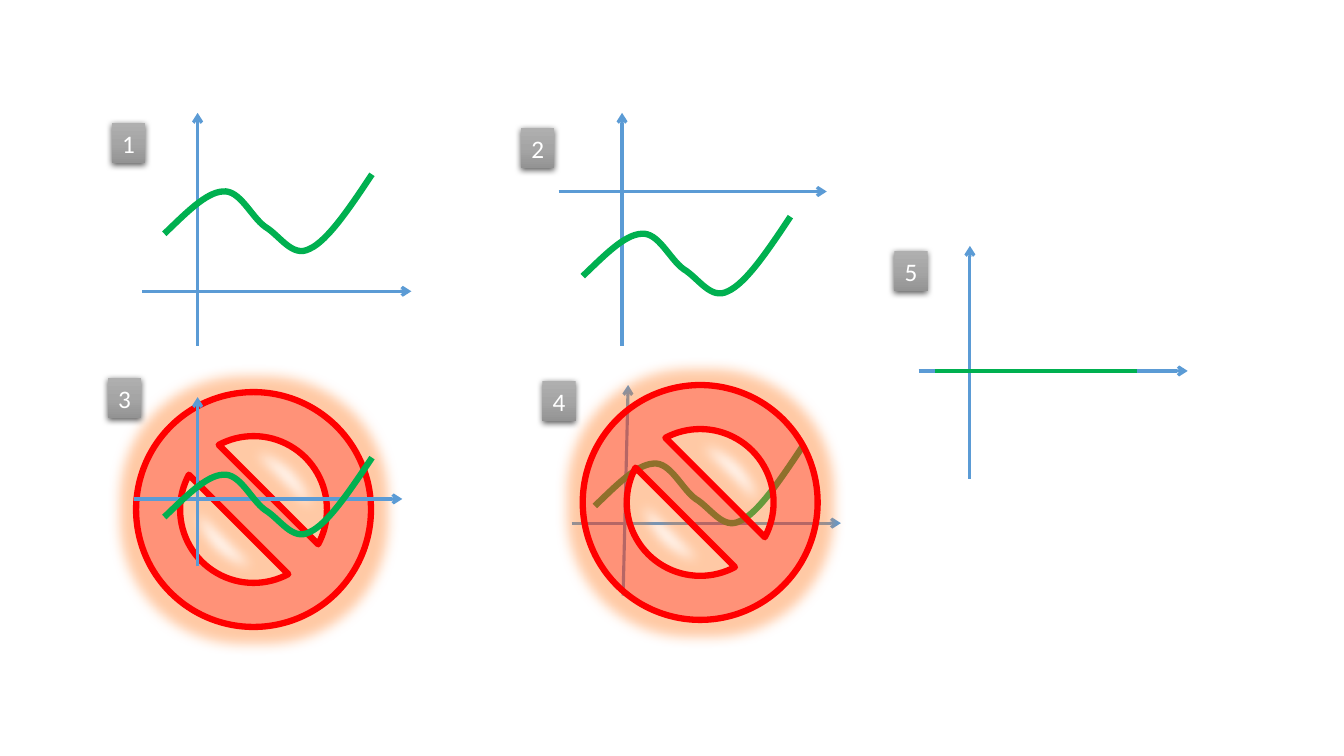
from copy import deepcopy

from lxml import etree
from pptx import Presentation
from pptx.dml.color import RGBColor
from pptx.enum.shapes import MSO_CONNECTOR, MSO_SHAPE
from pptx.enum.text import MSO_ANCHOR, MSO_AUTO_SIZE, PP_ALIGN
from pptx.oxml.ns import qn
from pptx.util import Inches, Pt

STRAIGHT = MSO_CONNECTOR.STRAIGHT
RECTANGLE = MSO_SHAPE.RECTANGLE
PROHIBITION = MSO_SHAPE.NO_SYMBOL
MIDDLE = MSO_ANCHOR.MIDDLE
CENTER = PP_ALIGN.CENTER
GROW = MSO_AUTO_SIZE.SHAPE_TO_FIT_TEXT

BLUE = RGBColor(0x5B, 0x9B, 0xD5)
GREEN = RGBColor(0x00, 0xB0, 0x50)
RED = RGBColor(0xFF, 0x00, 0x00)
GLOW_ORANGE = RGBColor(0xFF, 0x7A, 0x1E)
BLACK = RGBColor(0x00, 0x00, 0x00)
WHITE = RGBColor(0xFF, 0xFF, 0xFF)
BADGE_TOP = RGBColor(0xAF, 0xAF, 0xAF)
BADGE_MIDDLE = RGBColor(0xA5, 0xA5, 0xA5)
BADGE_BOTTOM = RGBColor(0x93, 0x93, 0x93)

CELL = Inches(1)
CURVE_STEPS = 100
CURVE_HEIGHT = 0.76
SIGN_SIZE = 2.33
CURVE = [(0, 59), (21, 39), (41, 18), (58, 17), (75, 15), (86, 42), (100, 52),
         (115, 61), (127, 83), (144, 74), (162, 66), (184, 33), (206, 0)]

PANELS = [
    ("1", (1.11, 1.22), (1.41, 4.08, 2.89), (1.96, 3.43, 1.96, 1.12), (1.63, 1.73)),
    ("5", (8.87, 2.49), (9.11, 11.78, 3.68), (9.62, 4.75, 9.62, 2.44), None),
    ("4", (5.38, 3.78), (5.67, 8.34, 5.19), (6.18, 5.91, 6.23, 3.82), (5.9, 4.43)),
    ("3", (1.07, 3.75), (1.33, 3.99, 4.95), (1.96, 5.62, 1.96, 3.94), (1.63, 4.54)),
    ("2", (5.17, 1.27), (5.54, 8.2, 1.9), (6.17, 3.43, 6.17, 1.12), (5.78, 2.15)),
]


def cells(*counts):
    return [round(count * CELL) for count in counts]


def add_effect(element, tag=None, color=None, alpha=0, **settings):
    effects = element.spPr.find(qn("a:effectLst"))
    if effects is None:
        effects = etree.SubElement(element.spPr, qn("a:effectLst"))
    if tag:
        effect = etree.SubElement(effects, qn(tag), settings)
        tint = etree.SubElement(effect, qn("a:srgbClr"), val=str(color))
        etree.SubElement(tint, qn("a:alpha"), val=str(alpha * 1000))


def add_line(shapes, ends, color, weight, arrow=False):
    line = shapes.add_connector(STRAIGHT, *cells(*ends))
    line.line.color.rgb = color
    line.line.width = Pt(weight)
    if arrow:
        outline = line.line._get_or_add_ln()
        etree.SubElement(outline, qn("a:tailEnd"), type="arrow")
    add_effect(line._element)


def add_curve(shapes, corner):
    builder = shapes.build_freeform(*CURVE[0], scale=CELL / CURVE_STEPS)
    builder.add_line_segments(CURVE[1:], close=False)
    curve = builder.convert_to_shape(*cells(*corner))
    curve.height = cells(CURVE_HEIGHT)[0]
    curve.shadow.inherit = False
    curve.fill.background()
    curve.line.color.rgb = GREEN
    curve.line.width = Pt(4.5)
    outline = next(curve._element.iter(qn("a:path")))
    outline.set("h", str(round(CURVE_HEIGHT * CURVE_STEPS)))
    segments = outline.findall(qn("a:lnTo"))
    for start in range(0, len(segments), 3):
        bend = etree.SubElement(outline, qn("a:cubicBezTo"))
        for segment in segments[start:start + 3]:
            bend.append(segment[0])
            outline.remove(segment)


def shade_badge(badge):
    badge.fill.gradient()
    badge.fill.gradient_angle = 270
    for stop, color in zip(badge.fill.gradient_stops, (BADGE_TOP, BADGE_BOTTOM)):
        stop.color.rgb = color
    stops = next(badge._element.iter(qn("a:gsLst")))
    middle = deepcopy(stops[0])
    middle.set("pos", "50000")
    middle[0].set("val", str(BADGE_MIDDLE))
    stops.insert(1, middle)


def add_badge(shapes, number, corner):
    badge = shapes.add_shape(RECTANGLE, *cells(*corner, 0.33, 0.4))
    badge.shadow.inherit = False
    shade_badge(badge)
    badge.line.fill.background()
    add_effect(badge._element, "a:outerShdw", BLACK, 63, blurRad=str(Pt(4.5)),
               dist=str(Pt(1.5)), dir="5400000", algn="ctr", rotWithShape="0")
    frame = badge.text_frame
    frame.word_wrap = False
    frame.auto_size = GROW
    frame.vertical_anchor = MIDDLE
    label = frame.paragraphs[0]
    label.alignment = CENTER
    digit = label.add_run()
    digit.text = number
    digit.font.name = "Calibri"
    digit.font.size = Pt(18)
    digit.font.color.rgb = WHITE


def add_panel(slide, number, badge_corner, horizontal, vertical, curve_corner):
    shapes = slide.shapes.add_group_shape().shapes
    left, right, level = horizontal
    add_line(shapes, (left, level, right, level), BLUE, 2.25, arrow=True)
    add_line(shapes, vertical, BLUE, 2.25, arrow=True)
    if curve_corner:
        add_curve(shapes, curve_corner)
    else:
        add_line(shapes, (left + 0.16, level, right - 0.5, level), GREEN, 3)
    add_badge(shapes, number, badge_corner)


def add_prohibition(slide, left, top):
    sign = slide.shapes.add_shape(PROHIBITION, *cells(left, top, SIGN_SIZE, SIGN_SIZE))
    sign.shadow.inherit = False
    sign.fill.solid()
    sign.fill.fore_color.rgb = RED
    tint = sign._element.spPr.find(qn("a:solidFill"))[0]
    etree.SubElement(tint, qn("a:alpha"), val="27000")
    sign.line.color.rgb = RED
    sign.line.width = Pt(4.5)
    add_effect(sign._element, "a:glow", GLOW_ORANGE, 40, rad=str(Pt(18)))


def main():
    deck = Presentation()
    deck.slide_width, deck.slide_height = cells(13.33, 7.5)
    slide = deck.slides.add_slide(deck.slide_layouts[6])
    add_prohibition(slide, 1.35, 3.89)
    for panel in PANELS:
        add_panel(slide, *panel)
    add_prohibition(slide, 5.78, 3.82)
    deck.save("out.pptx")


if __name__ == "__main__":
    main()
